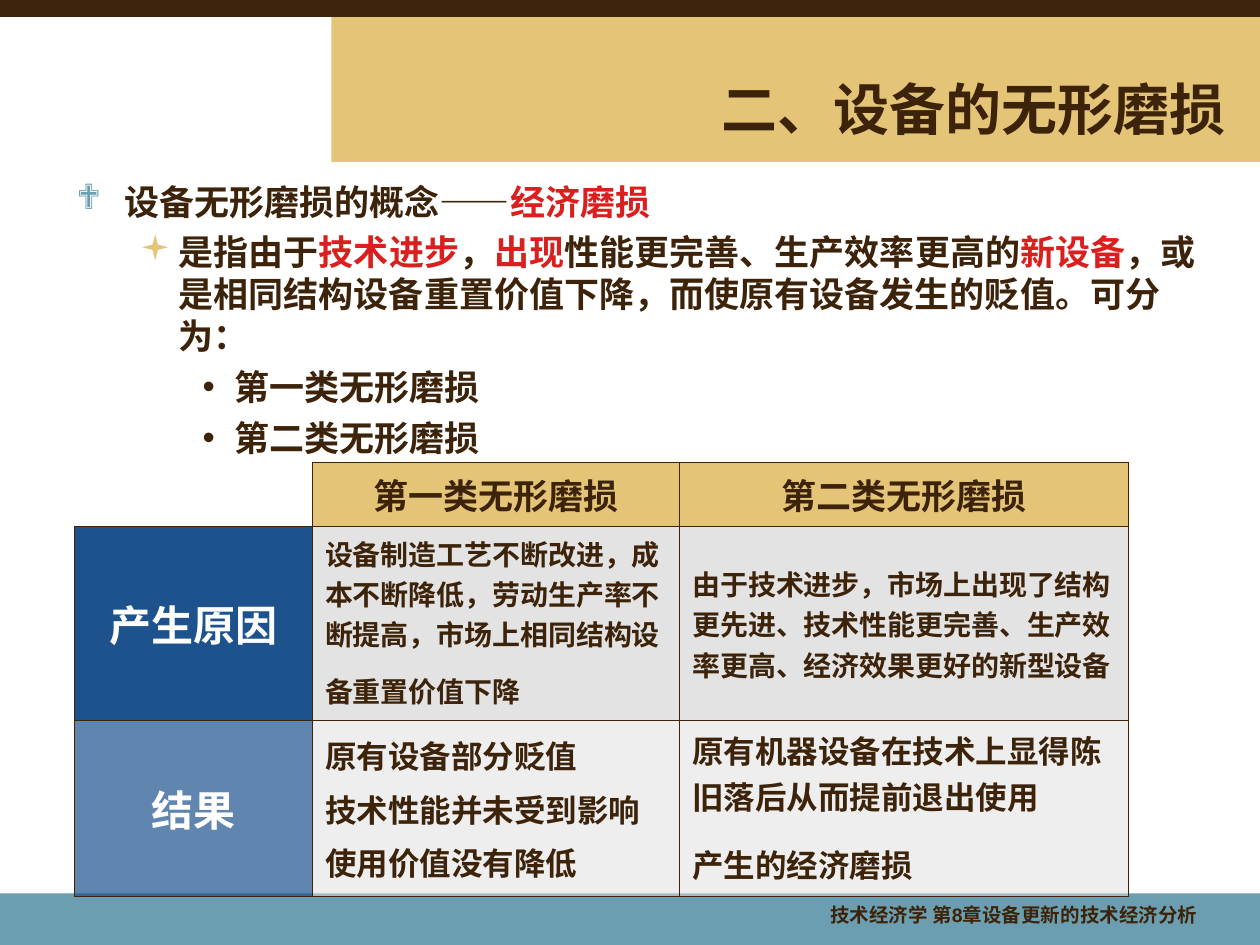
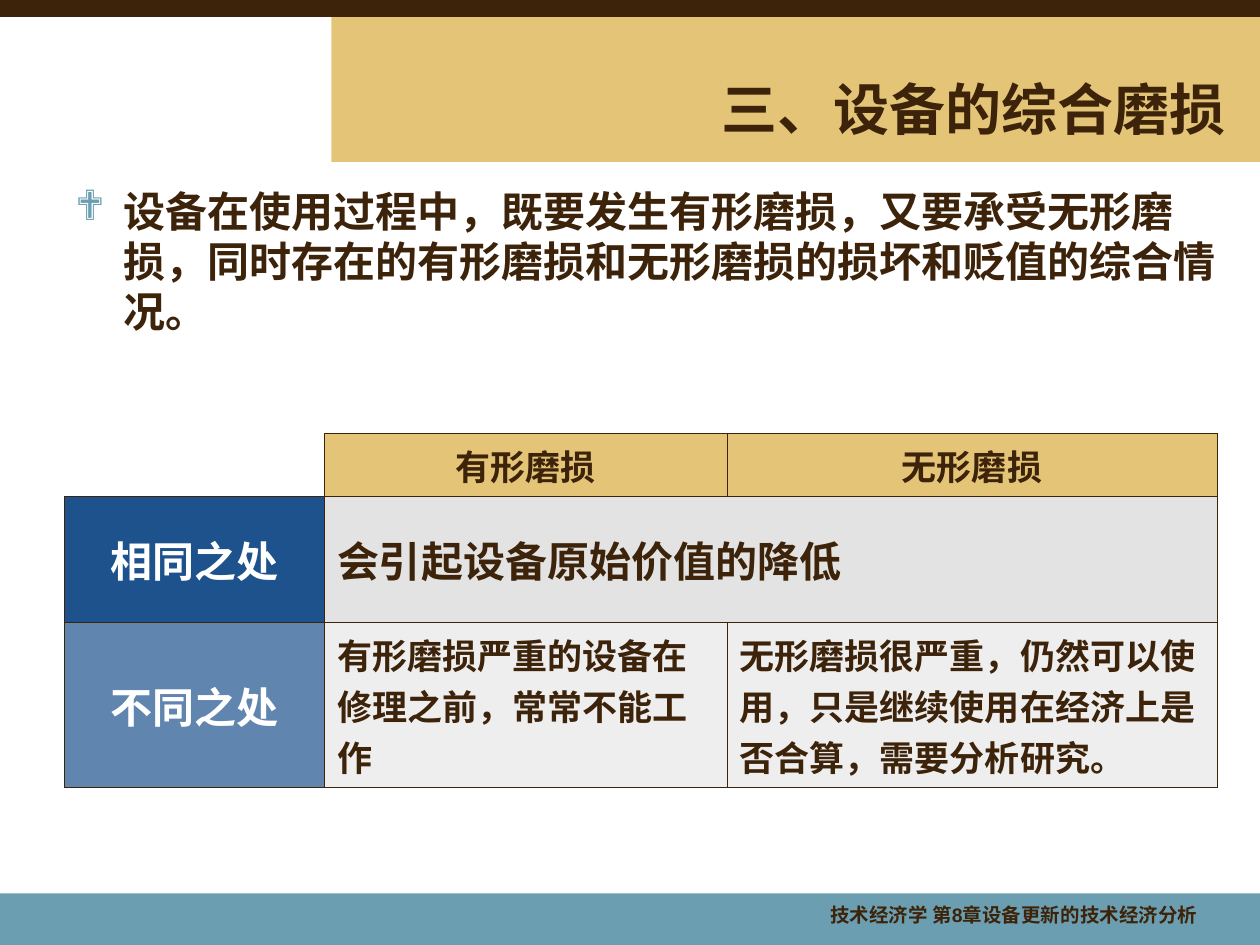
from lxml import etree
from pptx import Presentation
from pptx.dml.color import RGBColor
from pptx.enum.lang import MSO_LANGUAGE_ID
from pptx.enum.shapes import MSO_SHAPE
from pptx.enum.text import MSO_ANCHOR, PP_ALIGN
from pptx.oxml.ns import qn
from pptx.util import Inches, Pt

RECT = MSO_SHAPE.RECTANGLE
MIDDLE, TOP = MSO_ANCHOR.MIDDLE, MSO_ANCHOR.TOP
LEFT, MID, RIGHT = PP_ALIGN.LEFT, PP_ALIGN.CENTER, PP_ALIGN.RIGHT
CHINESE = MSO_LANGUAGE_ID.SIMPLIFIED_CHINESE

COLS, ROWS = 100, 75
UNIT = Inches(0.1)
BROWN, GOLD, TEAL, WHITE, RED = "3C230A", "E4C578", "6A9EB0", "FFFFFF", "DB1F1F"
NAVY, GREY = "1D528D", "DDDDDD"
ARIAL, DEJAVU, SIGNS = "Arial", "DejaVu Sans", "Wingdings"
# Bullet sign, its font and colour, left margin and hanging indent in grid units
MARKS = [("❖", SIGNS, TEAL, 3.8, 3.8), ("▪", SIGNS, GOLD, 8.1, 3.1),
         ("•", ARIAL, BROWN, 12.5, 2.5)]
# Opacity of the side cells and the body cells, by row
SIDE, BODY = [None, 100, 70], [None, 80, 48]


def rgb(text):
    return RGBColor.from_string(text)


def grid(*cells):
    return [round(c * UNIT) for c in cells]


class Deck:
    def __init__(self):
        self.prs = Presentation()
        self.prs.slide_width, self.prs.slide_height = grid(COLS, ROWS)
        self.slide = None

    def page(self, title):
        self.slide = self.prs.slides.add_slide(self.prs.slide_layouts[6])
        self.band((26.3, 1.3, 73.7, 11.55), GOLD)
        self.band((0, 70.9, COLS, 4.4), TEAL)
        self.band((0, 0, COLS, 1.35), BROWN)
        foot = self.box((61.4, 71.4, 34.6, 3.3))
        self.para(foot, 0, "技术经济学 第8章设备更新的技术经济分析", 11.1,
                  align=RIGHT, line=0.9)
        head = self.box((29.1, 5.5, 69.2, 6.2), MIDDLE)
        self.para(head, 0, title, 32, align=RIGHT)

    def band(self, at, color):
        shape = self.slide.shapes.add_shape(RECT, *grid(*at))
        shape.shadow.inherit = False
        shape.fill.solid()
        shape.fill.fore_color.rgb = rgb(color)
        shape.line.fill.background()

    def box(self, at, anchor=TOP):
        frame = self.slide.shapes.add_textbox(*grid(*at)).text_frame
        frame.word_wrap = True
        frame.vertical_anchor = anchor
        return frame

    def para(self, frame, i, runs, size, font=ARIAL, color=BROWN, align=LEFT,
             gap=0, line=None, level=None):
        """Write paragraph i; runs is a text or a list of (text, font changes)."""
        p = frame.add_paragraph() if i else frame.paragraphs[0]
        if level is not None:
            self.mark(p, level)
        p.alignment = align
        if line:
            p.line_spacing = line
        if i:
            p.space_before = Pt(gap)
        self.style(p.font, size=size, name=font, color=color)
        p.font.bold = True
        p.font.language_id = CHINESE
        for text, change in [(runs, {})] if isinstance(runs, str) else runs:
            run = p.add_run()
            run.text = text
            run.font.language_id = CHINESE
            self.style(run.font, **change)

    def style(self, font, size=None, name=None, color=None):
        if size:
            font.size = Pt(size)
        if name:
            font.name = name
        if color:
            font.color.rgb = rgb(color)

    def mark(self, p, level):
        sign, font, color, left, hang = MARKS[level]
        p.level = level
        props = p._p.get_or_add_pPr()
        props.set("marL", str(grid(left)[0]))
        props.set("indent", str(-grid(hang)[0]))
        props.set("hangingPunct", "0")
        tint = etree.SubElement(props, qn("a:buClr"))
        etree.SubElement(tint, qn("a:srgbClr"), val=color)
        etree.SubElement(props, qn("a:buFont"), typeface=font)
        etree.SubElement(props, qn("a:buChar"), char=sign)

    def table(self, at, cols, rows, heads, sides, cells, merge=()):
        """Draw a table of gold heads, blue sides and grey cells.

        Each body cell is (size, gap, paragraphs); None is left empty.
        """
        size = (sum(cols), sum(rows))
        table = self.slide.shapes.add_table(
            len(rows), len(cols), *grid(*at, *size)).table
        table.first_row = table.horz_banding = False
        for col, width in zip(table.columns, grid(*cols)):
            col.width = width
        for row, height in zip(table.rows, grid(*rows)):
            row.height = height
        for r in range(len(rows)):
            for c in range(len(cols)):
                cell = table.cell(r, c)
                cell.vertical_anchor = MIDDLE
                if r == c == 0:
                    cell.fill.background()
                    self.edge(cell, "RB")
                    continue
                if r == 0:
                    self.paint(cell, GOLD)
                    self.para(cell.text_frame, 0, heads[c - 1], 20, DEJAVU, align=MID)
                elif c == 0:
                    self.paint(cell, NAVY, SIDE[r])
                    self.para(cell.text_frame, 0, sides[r - 1], 24, DEJAVU, WHITE, MID)
                else:
                    self.paint(cell, GREY, BODY[r])
                    self.fill(cell, cells[r - 1][c - 1])
                self.edge(cell, "LRTB")
        for first, last in merge:
            table.cell(*first).merge(table.cell(*last))

    def fill(self, cell, entry):
        if entry:
            size, gap, paras = entry
            for i, runs in enumerate(paras):
                self.para(cell.text_frame, i, runs, size, DEJAVU, gap=gap)

    def paint(self, cell, color, share=100):
        cell.fill.solid()
        cell.fill.fore_color.rgb = rgb(color)
        if share < 100:
            tint = cell._tc.tcPr.find(".//" + qn("a:srgbClr"))
            etree.SubElement(tint, qn("a:alpha"), val=str(share * 1000))

    def edge(self, cell, shown):
        props = cell._tc.get_or_add_tcPr()
        for i, side in enumerate("LRTB"):
            line = etree.Element(qn("a:ln" + side), w=str(Pt(0.45)))
            if side in shown:
                ink = etree.SubElement(line, qn("a:solidFill"))
                etree.SubElement(ink, qn("a:srgbClr"), val=BROWN)
            else:
                etree.SubElement(line, qn("a:noFill"))
            props.insert(i, line)


def hidden(deck):
    deck.page("二、设备的无形磨损")
    red = {"color": RED}
    points = [
        (0, [("设备无形磨损的概念——", {}), ("经济磨损", {"name": DEJAVU, **red})]),
        (1, [("是指由于", {}), ("技术进步", red), ("，", {}), ("出现", red),
             ("性能更完善、生产效率更高的", {}), ("新设备", red),
             ("，或是相同结构设备重置价值下降，而使原有设备发生的贬值。可分为：", {})]),
        (2, "第一类无形磨损"),
        (2, "第二类无形磨损"),
    ]
    body = deck.box((5.1, 13.8, 91.5, 55))
    for i, (level, runs) in enumerate(points):
        deck.para(body, i, runs, 20, gap=5, level=level)
    tall = (" ", {"size": 24})
    cause = "设备制造工艺不断改进，成本不断降低，劳动生产率不断提高，市场上相同结构设备重置价值下降"
    deck.table(
        (5.9, 36.7), (18.9, 29.15, 35.6), (5.1, 15.4, 13.95),
        ["第一类无形磨损", "第二类无形磨损"], ["产生原因", "结果"],
        [[(16, 0, [[(cause, {}), tall]]),
          (16, 0, ["由于技术进步，市场上出现了结构更先进、技术性能更完善、生产效率更高、经济效果更好的新型设备"])],
         [(18, 4.5, ["原有设备部分贬值", "技术性能并未受到影响", "使用价值没有降低"]),
          (18, 6, ["原有机器设备在技术上显得陈旧落后从而提前退出使用",
                   [("产生的经济磨损", {}), tall]])]])


def mixed(deck):
    deck.page("三、设备的综合磨损")
    body = deck.box((5, 14.2, 93, 55))
    deck.para(body, 0, "设备在使用过程中，既要发生有形磨损，又要承受无形磨损，"
              "同时存在的有形磨损和无形磨损的损坏和贬值的综合情况。",
              24, DEJAVU, level=0)
    deck.table(
        (5.1, 34.4), (20.65, 31.95, 38.9), (5, 10, 13.1),
        ["有形磨损", "无形磨损"], ["相同之处", "不同之处"],
        [[(24, 0, ["会引起设备原始价值的降低"]), None],
         [(20, 0, ["有形磨损严重的设备在修理之前，常常不能工作"]),
          (20, 0, ["无形磨损很严重，仍然可以使用，只是继续使用在经济上是否合算，需要分析研究。"])]],
        merge=[((1, 1), (1, 2))])


def main():
    deck = Deck()
    hidden(deck)
    mixed(deck)
    deck.prs.save("out.pptx")


if __name__ == "__main__":
    main()
